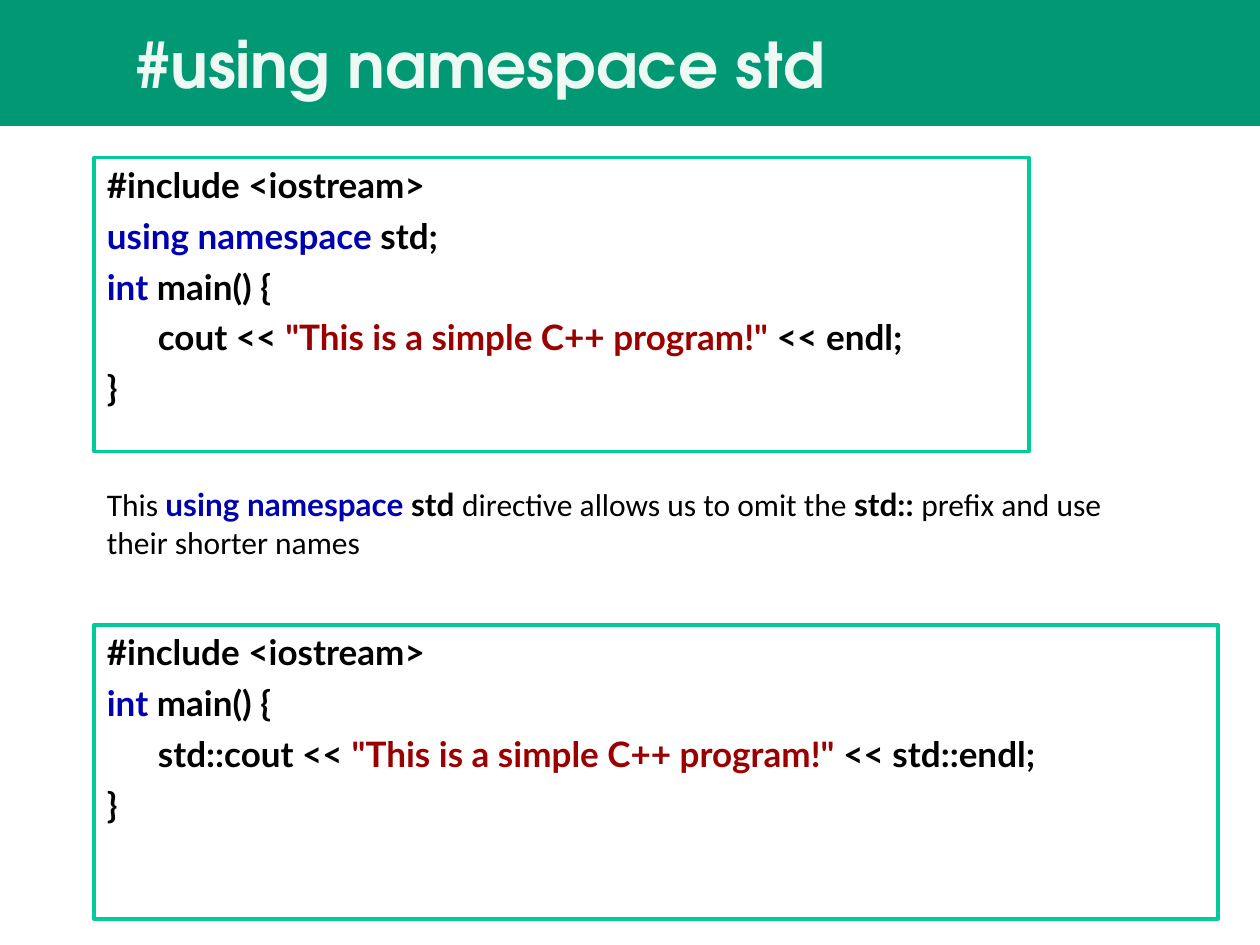
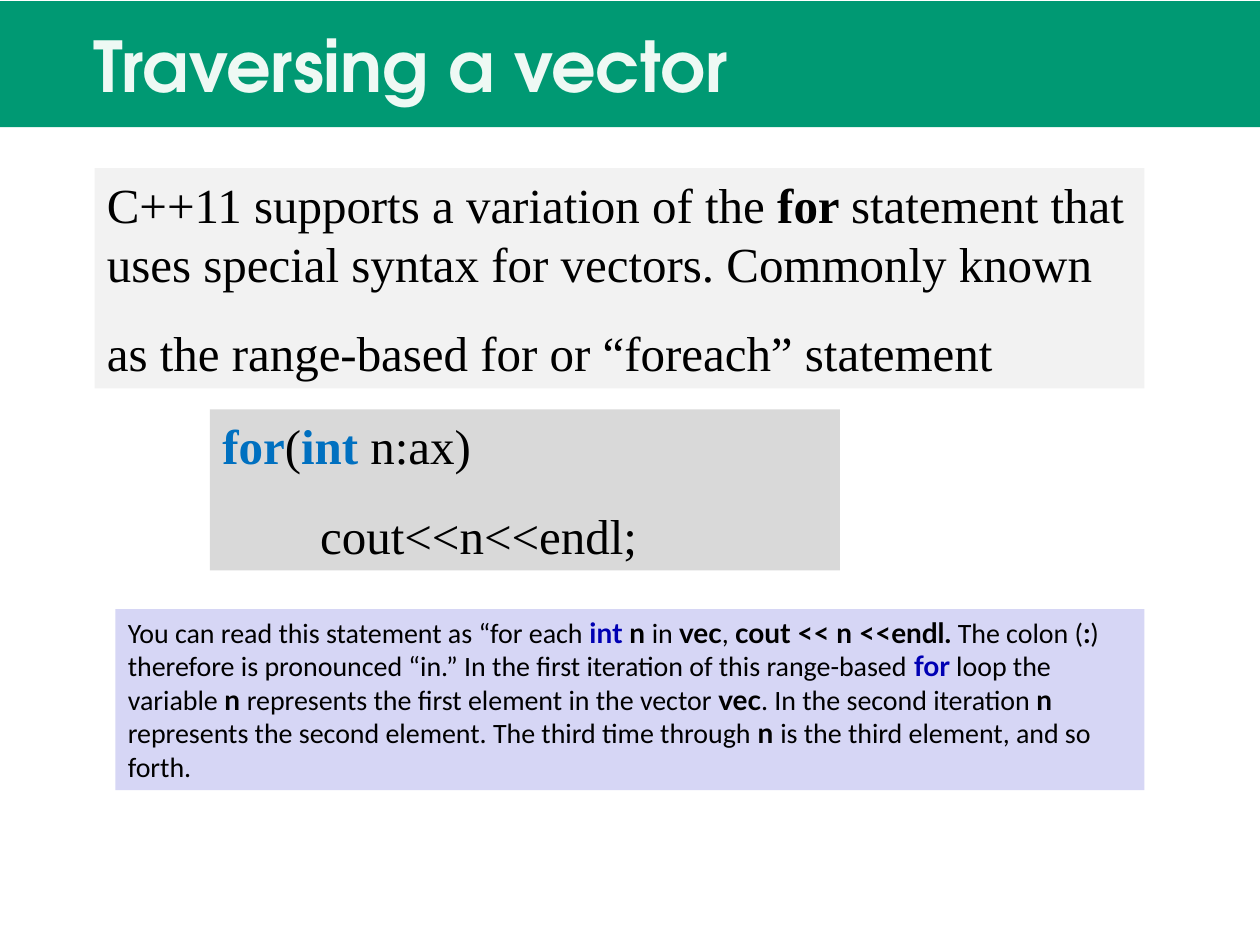
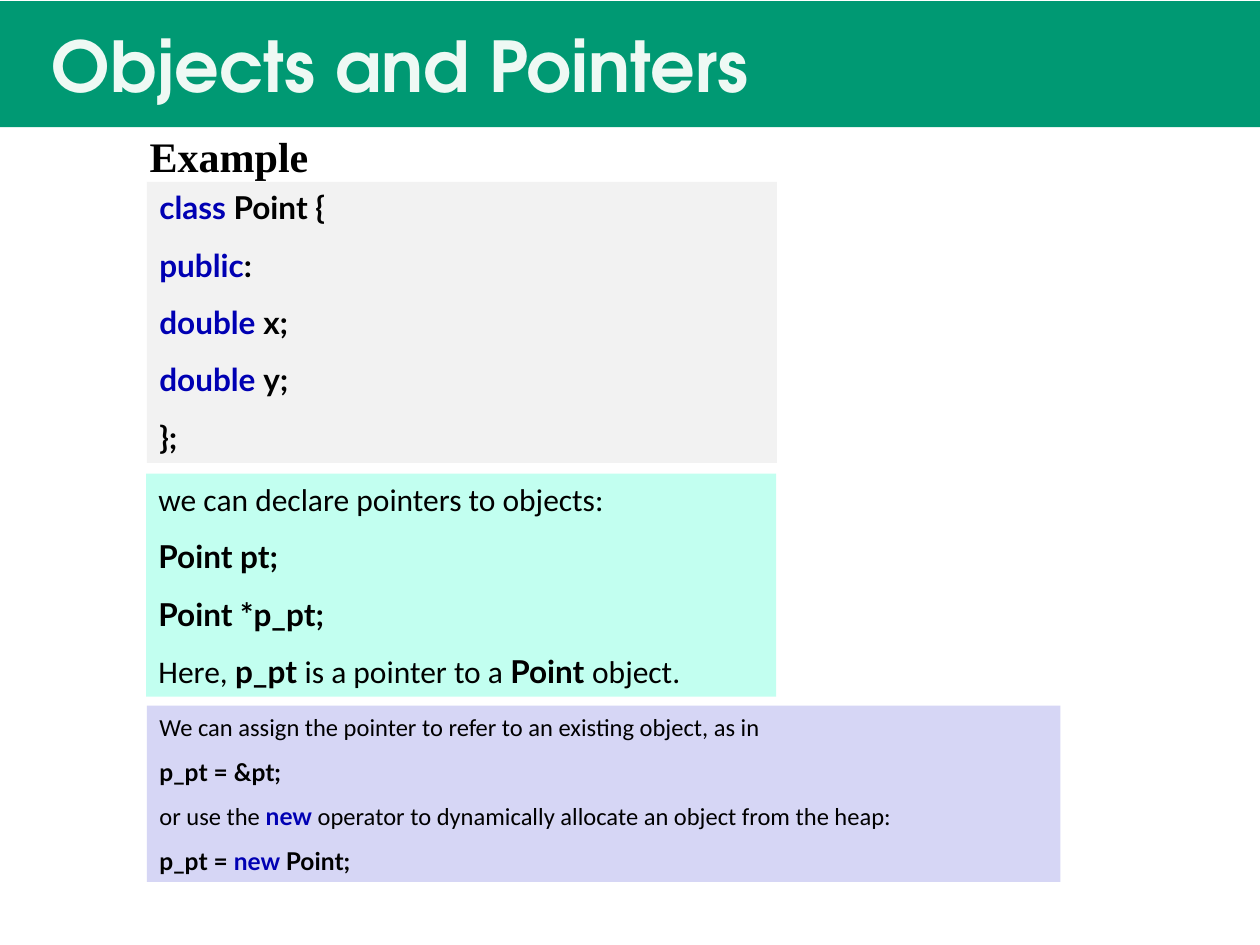
"""Build three slides on C++ namespaces, vector loops and object pointers."""
from dataclasses import dataclass
from typing import NamedTuple, Optional

from pptx import Presentation
from pptx.dml.color import RGBColor
from pptx.enum.shapes import MSO_SHAPE
from pptx.enum.text import MSO_ANCHOR, PP_ALIGN
from pptx.util import Pt

GREEN = RGBColor(0x00, 0x99, 0x73)
MINT = RGBColor(0xEE, 0xF9, 0xF4)
FRAME_GREEN = RGBColor(0x00, 0xCC, 0x99)
AQUA = RGBColor(0xC2, 0xFF, 0xF0)
LAVENDER = RGBColor(0xD6, 0xD6, 0xF5)
LIGHT_GRAY = RGBColor(0xF2, 0xF2, 0xF2)
GRAY = RGBColor(0xD9, 0xD9, 0xD9)
BLACK = RGBColor(0x00, 0x00, 0x00)
NAVY = RGBColor(0x00, 0x00, 0xB3)
BLUE = RGBColor(0x00, 0x70, 0xC0)
RED = RGBColor(0x9A, 0x00, 0x00)

SLIDE_WIDTH, SLIDE_HEIGHT = Pt(720), Pt(540)
BAND_HEIGHT = Pt(72)
INSET_X, INSET_Y = Pt(7.2), Pt(3.6)


class Style(NamedTuple):
    """Typeface, colour and weight of a piece of text."""
    font: str
    color: RGBColor = BLACK
    bold: bool = False


TITLE = Style("TeX Gyre Adventor", MINT, True)
PROSE = Style("Calibri")
CODE = Style("Lato", BLACK, True)
KEYWORD = Style("Lato", NAVY, True)
STRING = Style("Lato", RED, True)
SERIF = Style("Times New Roman")
SERIF_BOLD = Style("Times New Roman", BLACK, True)
SERIF_KEYWORD = Style("Times New Roman", BLUE, True)


class Span(NamedTuple):
    """A piece of text in one style."""
    text: str
    style: Style


Line = tuple[Span, ...]


@dataclass(frozen=True)
class Panel:
    """A box of lines that share a size and a gap."""
    left: float
    top: float
    width: float
    height: float
    size: float
    gap: float
    lines: tuple[Line, ...]
    fill: Optional[RGBColor] = None
    border: Optional[RGBColor] = None
    wrap: bool = True


@dataclass(frozen=True)
class Page:
    """A title with its indent and the panels below it."""
    title: str
    title_size: float
    title_indent: float
    band_top: float
    panels: tuple[Panel, ...]


def line(*parts: str | Style) -> Line:
    """Pair alternating styles and texts into the spans of a line."""
    return tuple(Span(text, style) for style, text in zip(parts[::2], parts[1::2]))


def add_span(para, text: str, *, font: str, size: float, color: RGBColor, bold: bool) -> None:
    """Append formatted text to a paragraph."""
    span = para.add_run()
    span.text = text
    span.font.name = font
    span.font.size = Pt(size)
    span.font.color.rgb = color
    span.font.bold = bold


def add_box(page, left, top, width, height, fill=None, border=None):
    """Add a plain rectangle ready for text."""
    box = page.shapes.add_shape(MSO_SHAPE.RECTANGLE, left, top, width, height)
    box.shadow.inherit = False
    if fill is None:
        box.fill.background()
    else:
        box.fill.solid()
        box.fill.fore_color.rgb = fill
    if border is None:
        box.line.fill.background()
    else:
        box.line.color.rgb = border
        box.line.width = Pt(2.25)
    frame = box.text_frame
    frame.word_wrap = True
    frame.vertical_anchor = MSO_ANCHOR.TOP
    frame.margin_left = frame.margin_right = INSET_X
    frame.margin_top = frame.margin_bottom = INSET_Y
    return box


def add_title(page, content: Page) -> None:
    """Draw the title band."""
    box = add_box(page, 0, Pt(content.band_top), SLIDE_WIDTH, BAND_HEIGHT, GREEN)
    frame = box.text_frame
    frame.vertical_anchor = MSO_ANCHOR.MIDDLE
    frame.margin_left = INSET_X + Pt(content.title_indent)
    para = frame.paragraphs[0]
    para.alignment = PP_ALIGN.LEFT
    add_span(para, content.title, size=content.title_size, **TITLE._asdict())


def add_panel(page, panel: Panel) -> None:
    """Draw a panel and its lines."""
    box = add_box(page, Pt(panel.left), Pt(panel.top), Pt(panel.width), Pt(panel.height),
                  panel.fill, panel.border)
    frame = box.text_frame
    frame.word_wrap = panel.wrap
    for index, spans in enumerate(panel.lines):
        para = frame.add_paragraph() if index else frame.paragraphs[0]
        para.alignment = PP_ALIGN.LEFT
        para.space_before = Pt(panel.gap if index else 0)
        for span in spans:
            add_span(para, span.text, size=panel.size, **span.style._asdict())


INCLUDE = line(CODE, "#include <iostream>")
MAIN = line(KEYWORD, "int ", CODE, "main() {")
MESSAGE = '"This is a simple C++ program!" '
CLOSE = line(CODE, "}")

NAMESPACE_PAGE = Page("#using namespace std", 36, 70, 0, (
    Panel(54, 90, 534, 168, 20, 5, (
        INCLUDE,
        line(KEYWORD, "using namespace ", CODE, "std;"),
        MAIN,
        line(CODE, "      cout << ", STRING, MESSAGE, CODE, "<< endl;"),
        CLOSE,
    ), border=FRAME_GREEN),
    Panel(54, 273.6, 606, 50.4, 18, 11.2, (
        line(PROSE, "This ", KEYWORD, "using namespace ", CODE, "std ",
             PROSE, "directive allows us to omit the ", CODE, "std:: ",
             PROSE, "prefix and use their shorter names"),
    )),
    Panel(54, 357, 642, 168, 20, 5, (
        INCLUDE,
        MAIN,
        line(CODE, "      std::cout << ", STRING, MESSAGE, CODE, "<< std::endl;"),
        CLOSE,
    ), border=FRAME_GREEN),
))

VECTOR_PAGE = Page("Traversing a vector", 40, 46.5, 0.72, (
    Panel(54, 96, 600, 126, 28, 17.5, (
        line(SERIF, "C++11 supports a variation of the ", SERIF_BOLD, "for ",
             SERIF, "statement that uses special syntax for vectors. Commonly known"),
        line(SERIF, "as the range-based for or “foreach” statement"),
    ), fill=LIGHT_GRAY),
    Panel(120, 234, 360, 92, 28, 17.5, (
        line(SERIF_KEYWORD, "for", SERIF, "(", SERIF_KEYWORD, "int", SERIF, " n:ax)"),
        line(SERIF, "        cout<<n<<endl;"),
    ), fill=GRAY),
    Panel(66, 348, 588, 103.5, 16, 10, (
        line(PROSE, "You can read this statement as “for each ", KEYWORD, "int ", CODE, "n ",
             PROSE, "in ", CODE, "vec", PROSE, ", ", CODE, "cout << n <<endl.",
             PROSE, " The colon (", CODE, ":",
             PROSE, ") therefore is pronounced “in.” In the first iteration of this range-based ",
             KEYWORD, "for ", PROSE, "loop the variable ", CODE, "n ",
             PROSE, "represents the first element in the vector ", CODE, "vec",
             PROSE, ". In the second iteration ", CODE, "n ",
             PROSE, "represents the second element. The third time through ", CODE, "n ",
             PROSE, "is the third element, and so forth."),
    ), fill=LAVENDER),
))

POINTER_PAGE = Page("Objects and Pointers", 40, 22.2, 0.72, (
    Panel(78.5, 71.3, 105, 36, 24, 15, (line(SERIF_BOLD, "Example"),), wrap=False),
    Panel(84, 104, 360, 160.5, 18, 11.2, (
        line(KEYWORD, "class ", CODE, "Point {"),
        line(KEYWORD, "public", CODE, ":"),
        line(KEYWORD, "double ", CODE, "x;"),
        line(KEYWORD, "double ", CODE, "y;"),
        line(CODE, "};"),
    ), fill=LIGHT_GRAY),
    Panel(83.5, 270.7, 360, 127.4, 18, 11.2, (
        line(PROSE, "we can declare pointers to objects:"),
        line(CODE, "Point pt;"),
        line(CODE, "Point *p_pt;"),
        line(PROSE, "Here, ", CODE, "p_pt ", PROSE, "is a pointer to a ",
             CODE, "Point ", PROSE, "object."),
    ), fill=AQUA),
    Panel(84, 403.2, 522, 100.8, 14, 8.8, (
        line(PROSE, "We can assign the pointer to refer to an existing object, as in"),
        line(CODE, "p_pt = &pt;"),
        line(PROSE, "or use the ", KEYWORD, "new ",
             PROSE, "operator to dynamically allocate an object from the heap:"),
        line(CODE, "p_pt = ", KEYWORD, "new ", CODE, "Point;"),
    ), fill=LAVENDER),
))


def main() -> None:
    """Build and save the deck."""
    deck = Presentation()
    deck.slide_width, deck.slide_height = SLIDE_WIDTH, SLIDE_HEIGHT
    for content in (NAMESPACE_PAGE, VECTOR_PAGE, POINTER_PAGE):
        page = deck.slides.add_slide(deck.slide_layouts[6])
        add_title(page, content)
        for panel in content.panels:
            add_panel(page, panel)
    deck.save("out.pptx")


if __name__ == "__main__":
    main()
